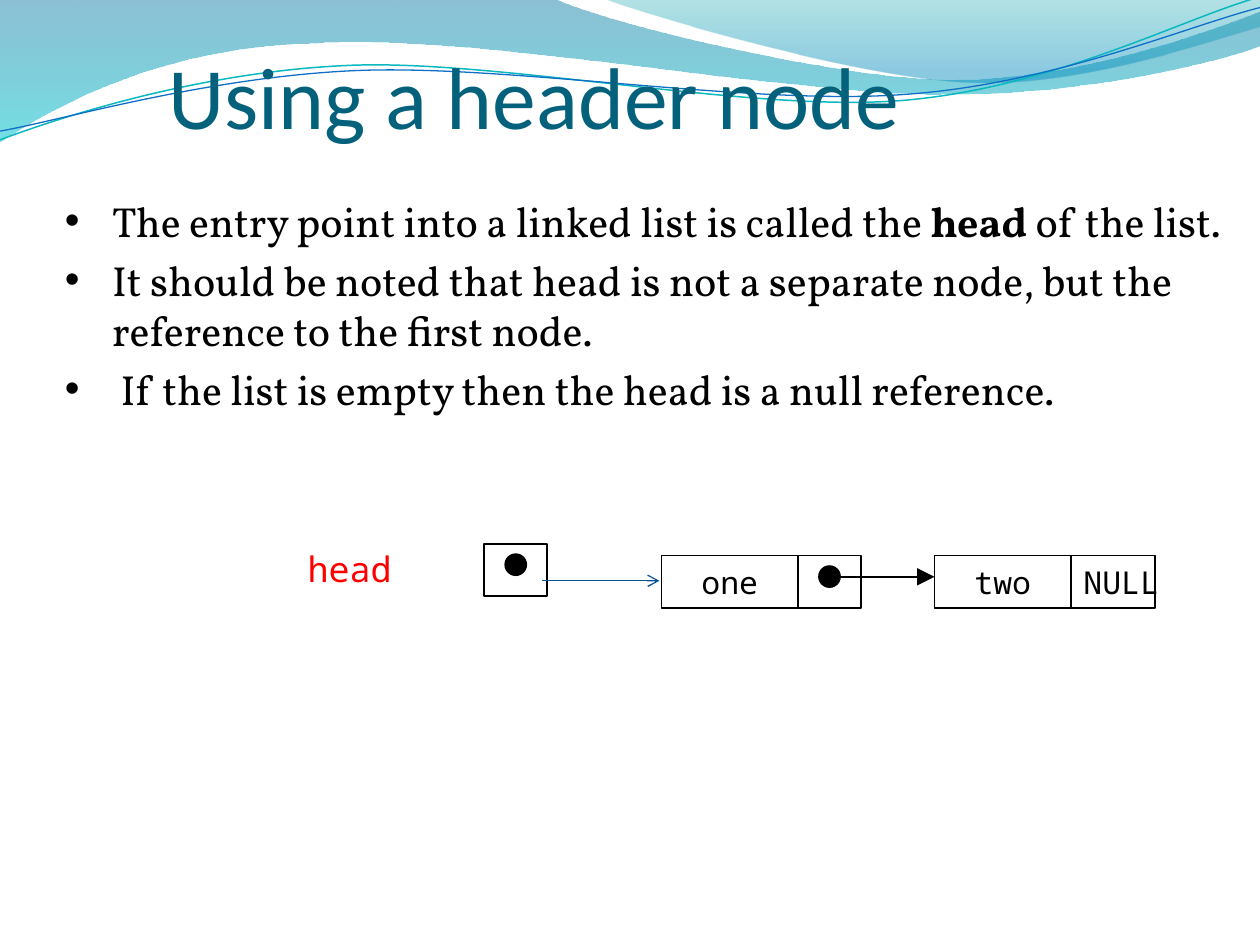
from lxml import etree
from pptx import Presentation
from pptx.dml.color import RGBColor
from pptx.enum.shapes import MSO_CONNECTOR, MSO_SHAPE
from pptx.enum.text import MSO_ANCHOR, PP_ALIGN
from pptx.oxml.ns import qn
from pptx.util import Pt

RECTANGLE, OVAL = MSO_SHAPE.RECTANGLE, MSO_SHAPE.OVAL
STRAIGHT = MSO_CONNECTOR.STRAIGHT
LEFT, CENTER = PP_ALIGN.LEFT, PP_ALIGN.CENTER
BOTTOM = MSO_ANCHOR.BOTTOM
COLORS = {
    "black": "000000", "red": "FF0000", "title": "04617B", "link": "095295",
    "blue": "0074A1", "cyan": "00C6CF", "teal": "00A1A9", "sky": "008BBF",
    "aqua line": "0AB8BF", "blue line": "0F6FC6",
}
COLORS = {name: RGBColor.from_string(value) for name, value in COLORS.items()}
MONO = "Noto Sans Mono"

deck = Presentation()
deck.slide_width, deck.slide_height = Pt(720), Pt(540)
page = deck.slides.add_slide(deck.slide_layouts[6])
shapes = page.shapes


def add_text(para, text, font=MONO, size=18, color="black", bold=False, align=LEFT):
    para.alignment = align
    span = para.add_run()
    span.text = text
    span.font.name, span.font.size, span.font.bold = font, Pt(size), bold
    span.font.color.rgb = COLORS[color]


def add_curve(start, segments, closed):
    """Draw segments of one point (line) or three points (cubic curve)."""
    points = [(Pt(x), Pt(y)) for segment in segments for x, y in segment]
    builder = shapes.build_freeform(Pt(start[0]), Pt(start[1]))
    builder.add_line_segments(points, close=closed)
    curve = builder.convert_to_shape()
    curve.shadow.inherit = False
    # Join each run of three line points into one cubic curve
    nodes = iter(list(curve.element.iter(qn("a:lnTo"))))
    for segment in segments:
        first, *others = [next(nodes) for _ in segment]
        if others:
            cubic = etree.Element(qn("a:cubicBezTo"))
            first.addprevious(cubic)
            for node in (first, *others):
                cubic.append(node[0])
                node.getparent().remove(node)
    return curve


# Translucent waves: start, segments, gradient stops (position, colour, opacity)
waves = [
    ((0, 0),
     [[(316.8, -0.7)],
      [(342.7, 12.2), (478.1, 45.4), (545.8, 45.4)],
      [(614.2, 45.4), (689.8, 18.7), (720, 6.5)],
      [(720.7, 25.9)],
      [(707.8, 31.7), (626.4, 54.7), (537.1, 54)],
      [(447.8, 54), (275, 20.2), (185, 24.5)],
      [(92.9, 25.9), (33.1, 59.8), (-0.7, 81.4)]],
     [(0, "blue", 45), (1, "cyan", 55)]),
    ((344.9, -0.7),
     [[(366.5, 7.9), (491, 44.6), (553.7, 46.8)],
      [(616.3, 49.7), (691.9, 23), (720, 15.1)],
      [(720, 0)]],
     [(0, "teal", 30), (0.8, "sky", 45)]),
]
for start, segments, stops in waves:
    wave = add_curve(start, segments, closed=True)
    wave.line.fill.background()
    wave.fill.gradient()
    wave.fill.gradient_angle = 270
    for stop, (position, color, _) in zip(wave.fill.gradient_stops, stops):
        stop.position = position
        stop.color.rgb = COLORS[color]
    for node, (_, _, opacity) in zip(wave.element.iter(qn("a:srgbClr")), stops):
        etree.SubElement(node, qn("a:alpha"), val=str(opacity * 1000))

# Thin wave lines
wave_lines = [
    ((0, 79.9),
     [[(34.6, 67), (113.8, 41), (199.4, 37.4)],
      [(284.4, 33.8), (427, 64.1), (513.4, 57.6)],
      [(599.8, 51.1), (675.4, 10.8), (718.6, -1.4)]], "aqua line", 0.85),
    ((0, 74.9),
     [[(33.8, 69.1), (118.1, 43.9), (203.8, 40.3)],
      [(290.2, 36.7), (429.8, 60.5), (516.2, 54)],
      [(601.9, 48.2), (677.5, 15.1), (720, 4.3)]], "blue line", 0.75),
]
for start, segments, color, width in wave_lines:
    wave_line = add_curve(start, segments, closed=False)
    wave_line.fill.background()
    wave_line.line.color.rgb = COLORS[color]
    wave_line.line.width = Pt(width)

# Title
title = shapes.add_textbox(Pt(96), Pt(18), Pt(613.4), Pt(66.2)).text_frame
title.word_wrap = True
title.vertical_anchor = BOTTOM
title.margin_left = title.margin_right = title.margin_bottom = 0
add_text(title.paragraphs[0], "Using a header node", font="Calibri", size=50, color="title")

# Bullets, each a list of (text, bold)
bullets = [
    [("The entry point into a linked list is called the ", False), ("head", True),
     (" of the list.", False)],
    [("It should be noted that head is not a separate node, but the reference "
      "to the first node.", False)],
    [(" If the list is empty then the head is a null reference.", False)],
]
body = shapes.add_textbox(Pt(30), Pt(108), Pt(675.4), Pt(375)).text_frame
body.word_wrap = True
for index, spans in enumerate(bullets):
    para = body.add_paragraph() if index else body.paragraphs[0]
    properties = para._p.get_or_add_pPr()
    properties.set("marL", str(Pt(27)))
    properties.set("indent", str(-Pt(27)))
    etree.SubElement(properties, qn("a:buFont"), typeface="Arial")
    etree.SubElement(properties, qn("a:buChar"), char="•")
    if index:
        para.space_before = Pt(4.8)
    for text, bold in spans:
        add_text(para, text, font="Vollkorn", size=24, bold=bold)

# List cells: left, top, width, text, alignment
cells = [
    (534, 317.5, 78, "two", CENTER),
    (612, 317.5, 48, "NULL", LEFT),
    (378, 317.5, 78, "one", CENTER),
    (456, 317.5, 36, "", CENTER),
    (276.7, 310.7, 36, "", CENTER),
]
for left, top, width, text, align in cells:
    cell = shapes.add_shape(RECTANGLE, Pt(left), Pt(top), Pt(width), Pt(30))
    cell.shadow.inherit = False
    cell.fill.background()
    cell.line.color.rgb = COLORS["black"]
    cell.line.width = Pt(1)
    if text:
        cell.text_frame.word_wrap = False
        add_text(cell.text_frame.paragraphs[0], text, align=align)

# Reference dots
for left, top in [(468, 323.5), (288.7, 316.7)]:
    dot = shapes.add_shape(OVAL, Pt(left), Pt(top), Pt(12), Pt(12))
    dot.shadow.inherit = False
    dot.fill.solid()
    dot.fill.fore_color.rgb = COLORS["black"]
    dot.line.color.rgb = COLORS["black"]
    dot.line.width = Pt(1)

# Head label
label = shapes.add_textbox(Pt(168.7), Pt(309.5), Pt(114), Pt(31)).text_frame
label.word_wrap = True
add_text(label.paragraphs[0], "head", size=20, color="red")

# Arrows: start, end, height, colour, width, arrowhead, head size
arrows = [
    (474, 534, 329.6, "black", 1, "triangle", "lg"),
    (309.5, 376.8, 331.9, "link", 0.75, "arrow", "med"),
]
for start, end, height, color, width, head, size in arrows:
    arrow = shapes.add_connector(STRAIGHT, Pt(start), Pt(height), Pt(end), Pt(height))
    arrow.line.color.rgb = COLORS[color]
    arrow.line.width = Pt(width)
    etree.SubElement(arrow.line._get_or_add_ln(), qn("a:tailEnd"), type=head, w=size, len=size)
    etree.SubElement(arrow.element.spPr, qn("a:effectLst"))

deck.save("out.pptx")
